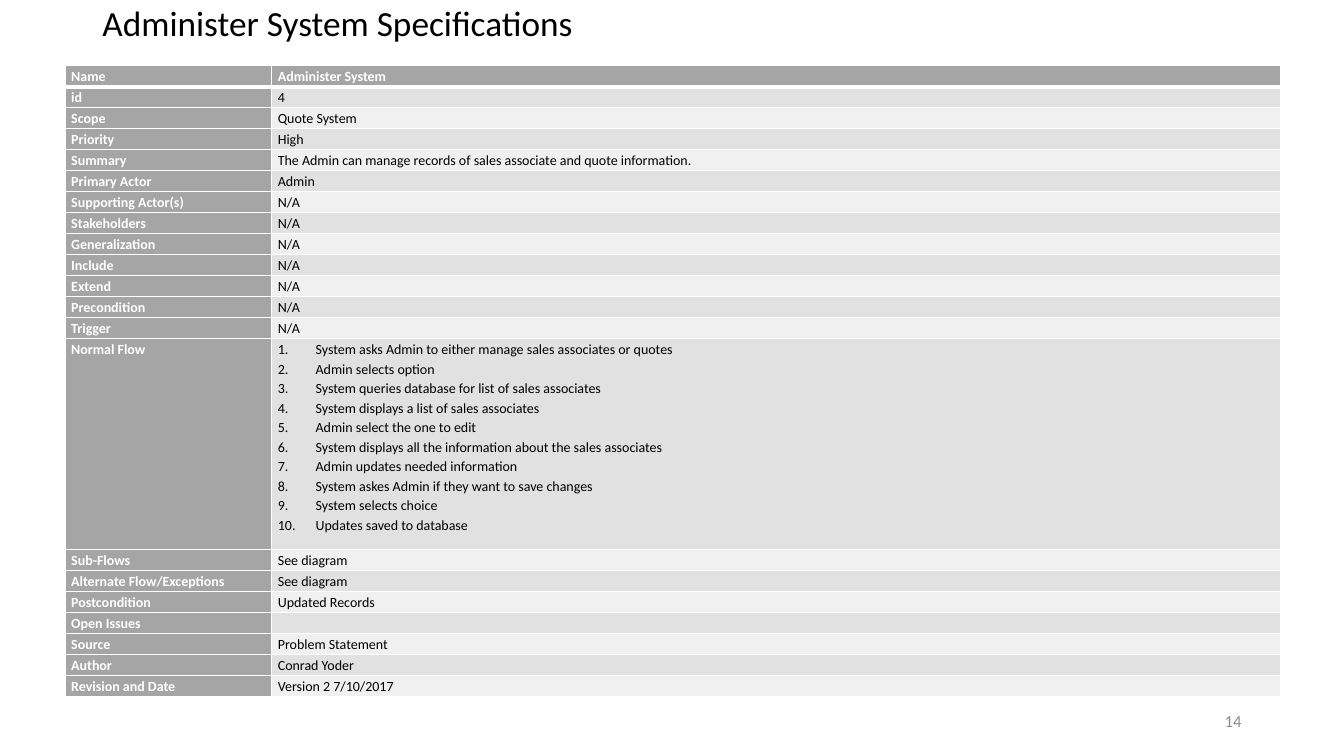
from lxml import etree
from pptx import Presentation
from pptx.dml.color import RGBColor
from pptx.enum.text import MSO_ANCHOR, MSO_AUTO_SIZE, PP_ALIGN
from pptx.oxml.ns import qn
from pptx.util import Pt

LEFT, RIGHT = PP_ALIGN.LEFT, PP_ALIGN.RIGHT
MIDDLE = MSO_ANCHOR.MIDDLE
NO_AUTOFIT = MSO_AUTO_SIZE.NONE

FONT = "Calibri"
BLACK, WHITE, NUMBER_GRAY = "000000", "FFFFFF", "8C8C8C"
LABEL_FILL, BAND_FILLS = "A5A5A5", ("F0F0F0", "E1E1E1")
CELL_SIZE, ROW_HEIGHT, FLOW_HEIGHT = 10, 15, 150.5
COLUMN_WIDTHS = (147.6, 720.7)
STEP_INDENT = 27

FLOW_STEPS = [
    "System asks Admin to either manage sales associates or quotes",
    "Admin selects option",
    "System queries database for list of sales associates",
    "System displays a list of sales associates",
    "Admin select the one to edit",
    "System displays all the information about the sales associates",
    "Admin updates needed information",
    "System askes Admin if they want to save changes",
    "System selects choice",
    "Updates saved to database",
]
SPECIFICATION = [
    ("Name", "Administer System"),
    ("id", "4"),
    ("Scope", "Quote System"),
    ("Priority", "High"),
    ("Summary", "The Admin can manage records of sales associate and quote information."),
    ("Primary Actor", "Admin"),
    ("Supporting Actor(s)", "N/A"),
    ("Stakeholders", "N/A"),
    ("Generalization", "N/A"),
    ("Include", "N/A"),
    ("Extend", "N/A"),
    ("Precondition", "N/A"),
    ("Trigger", "N/A"),
    ("Normal Flow", FLOW_STEPS),
    ("Sub-Flows", "See diagram"),
    ("Alternate Flow/Exceptions", "See diagram"),
    ("Postcondition", "Updated Records"),
    ("Open Issues", ""),
    ("Source", "Problem Statement"),
    ("Author", "Conrad Yoder"),
    ("Revision and Date", "Version 2 7/10/2017"),
]


def rgb(color):
    """Turn a hex string into a colour."""
    return RGBColor.from_string(color)


def format_text(frame, size, color, bold=False, align=LEFT, spacing=1.0):
    """Format every paragraph and run of a text frame."""
    for para in frame.paragraphs:
        para.alignment = align
        para.line_spacing = spacing
        for span in para.runs:
            span.font.name = FONT
            span.font.size = Pt(size)
            span.font.bold = bold
            span.font.color.rgb = rgb(color)


def place(box, left, top, width, height):
    """Set the position and size of a box, in points."""
    box.left, box.top = Pt(left), Pt(top)
    box.width, box.height = Pt(width), Pt(height)


def add_title(page, text):
    """Fill and place the title placeholder."""
    title = page.shapes.title
    place(title, 66, 0, 828, 36)
    frame = title.text_frame
    frame.text = text
    frame.auto_size = NO_AUTOFIT
    frame.vertical_anchor = MIDDLE
    format_text(frame, 25.2, BLACK, spacing=0.9)


def add_page_number(page, text):
    """Add the page number at the bottom right."""
    box = page.shapes.add_textbox(Pt(678), Pt(500.5), Pt(216), Pt(28.8))
    frame = box.text_frame
    frame.word_wrap = True
    frame.vertical_anchor = MIDDLE
    frame.text = text
    format_text(frame, 12, NUMBER_GRAY, align=RIGHT)


def number_paragraphs(frame):
    """Number the paragraphs with a hanging indent."""
    for para in frame.paragraphs:
        properties = para._p.get_or_add_pPr()
        properties.set("marL", str(Pt(STEP_INDENT)))
        properties.set("indent", str(-Pt(STEP_INDENT)))
        etree.SubElement(properties, qn("a:buFont"), typeface="+mj-lt")
        etree.SubElement(properties, qn("a:buAutoNum"), type="arabicPeriod")


def set_borders(cell, top, bottom):
    """Draw white borders; top and bottom widths are in points."""
    properties = cell._tc.get_or_add_tcPr()
    widths = {"lnL": 1, "lnR": 1, "lnT": top, "lnB": bottom}
    for side, width in widths.items():
        line = etree.SubElement(properties, qn("a:" + side), w=str(Pt(width)))
        fill = etree.SubElement(line, qn("a:solidFill"))
        etree.SubElement(fill, qn("a:srgbClr"), val=WHITE)


def fill_cell(cell, content, row, is_label):
    """Write and format one cell; a list becomes numbered steps."""
    is_strong = is_label or row == 0
    is_list = isinstance(content, list)
    cell.margin_left = cell.margin_right = Pt(4.5)
    cell.margin_top = cell.margin_bottom = 0
    set_borders(cell, top=3 if row == 1 else 1, bottom=3 if row == 0 else 1)
    cell.fill.solid()
    cell.fill.fore_color.rgb = rgb(LABEL_FILL if is_strong else BAND_FILLS[row % 2])
    frame = cell.text_frame
    frame.text = "\n".join(content) if is_list else content
    format_text(frame, CELL_SIZE, WHITE if is_strong else BLACK, is_strong, spacing=1.15)
    if is_list:
        number_paragraphs(frame)
    if not content:
        # Keeps the empty row as low as the others.
        etree.SubElement(frame.paragraphs[0]._p, qn("a:endParaRPr"), sz=str(CELL_SIZE * 100))


def add_specification_table(page, rows):
    """Add the table of labels and values."""
    heights = [FLOW_HEIGHT if isinstance(value, list) else ROW_HEIGHT for _, value in rows]
    table = page.shapes.add_table(
        len(rows), len(COLUMN_WIDTHS), Pt(46.4), Pt(47),
        Pt(sum(COLUMN_WIDTHS)), Pt(sum(heights))).table
    for column, width in zip(table.columns, COLUMN_WIDTHS):
        column.width = Pt(width)
    for row, (contents, height) in enumerate(zip(rows, heights)):
        table.rows[row].height = Pt(height)
        for column, content in enumerate(contents):
            fill_cell(table.cell(row, column), content, row, is_label=column == 0)


def main():
    """Build the slide and save it."""
    deck = Presentation()
    deck.slide_width, deck.slide_height = Pt(960), Pt(540)
    page = deck.slides.add_slide(deck.slide_layouts[5])
    add_title(page, "Administer System Specifications")
    add_specification_table(page, SPECIFICATION)
    add_page_number(page, "14")
    deck.save("out.pptx")


main()
